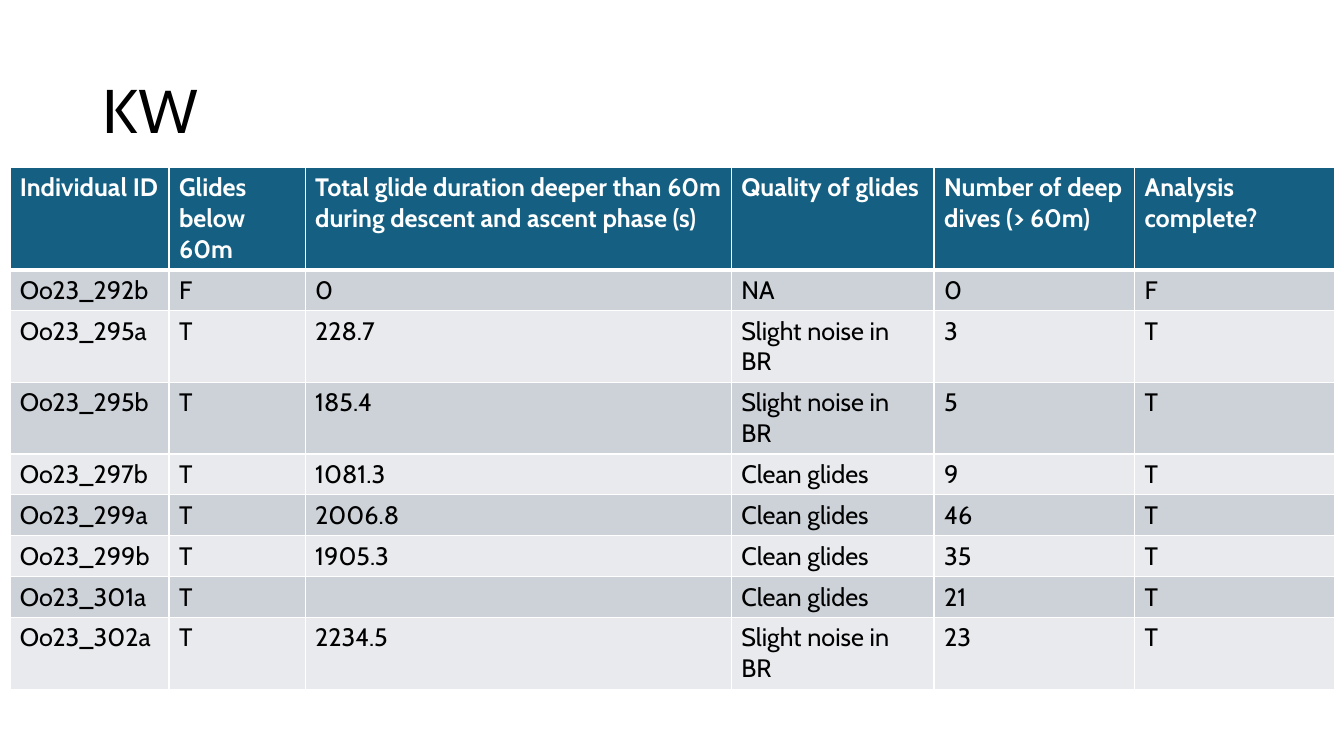
from dataclasses import astuple, dataclass

from lxml.etree import SubElement
from pptx import Presentation
from pptx.dml.color import RGBColor
from pptx.enum.text import MSO_ANCHOR, MSO_AUTO_SIZE, PP_ALIGN
from pptx.oxml.ns import qn
from pptx.slide import Slide
from pptx.table import _Cell as Cell
from pptx.text.text import _Paragraph as Paragraph
from pptx.util import Cm, Pt

WHITE = RGBColor(0xFF, 0xFF, 0xFF)
BLACK = RGBColor(0x00, 0x00, 0x00)
HEADER_BLUE = RGBColor(0x15, 0x60, 0x82)
DARK_BAND = RGBColor(0xCC, 0xD2, 0xD8)
LIGHT_BAND = RGBColor(0xE8, 0xEA, 0xED)

TITLE_FORMAT = {"name": "Cabin", "size": Pt(44), "bold": False}
HEADER_FORMAT = {"name": "Cabin", "size": Pt(18), "bold": True}
BODY_FORMAT = {"name": "Cabin", "size": Pt(18), "bold": False}

ROW_HEIGHT = Cm(1.03)
THIN_BORDER, HEADER_BORDER = Pt(1), Pt(3)


@dataclass
class Column:
    heading: str
    width: float


@dataclass
class Individual:
    name: str
    glides_below_60m: str
    duration: str
    quality: str
    deep_dives: str
    complete: str


COLUMNS = [
    Column("Individual ID", 4.01),
    Column("Glides below 60m", 3.43),
    Column("Total glide duration deeper than 60m during descent and ascent phase (s)", 10.74),
    Column("Quality of glides", 5.11),
    Column("Number of deep dives (> 60m)", 5.05),
    Column("Analysis complete?", 5.05),
]

NOISY = "Slight noise in BR"
CLEAN = "Clean glides"
INDIVIDUALS = [
    Individual("Oo23_292b", "F", "0", "NA", "0", "F"),
    Individual("Oo23_295a", "T", "228.7", NOISY, "3", "T"),
    Individual("Oo23_295b", "T", "185.4", NOISY, "5", "T"),
    Individual("Oo23_297b", "T", "1081.3", CLEAN, "9", "T"),
    Individual("Oo23_299a", "T", "2006.8", CLEAN, "46", "T"),
    Individual("Oo23_299b", "T", "1905.3", CLEAN, "35", "T"),
    Individual("Oo23_301a", "T", "", CLEAN, "21", "T"),
    Individual("Oo23_302a", "T", "2234.5", NOISY, "23", "T"),
]


def format_font(paragraph: Paragraph, values: dict, color: RGBColor) -> None:
    for font in [paragraph.font, *(run.font for run in paragraph.runs)]:
        for attribute, value in values.items():
            setattr(font, attribute, value)
        font.color.rgb = color


def add_borders(cell: Cell, top: int, bottom: int) -> None:
    """Draw white lines around the cell; the schema wants them before the fill."""
    properties = cell._tc.get_or_add_tcPr()
    widths = {"a:lnL": THIN_BORDER, "a:lnR": THIN_BORDER, "a:lnT": top, "a:lnB": bottom}
    for index, (tag, width) in enumerate(widths.items()):
        line = SubElement(properties, qn(tag), w=str(width))
        SubElement(SubElement(line, qn("a:solidFill")), qn("a:srgbClr"), val=str(WHITE))
        properties.insert(index, line)


def add_title(slide: Slide, text: str) -> None:
    title = slide.shapes.title
    place = {"left": Cm(2.34), "top": Cm(1.02), "width": Cm(29.21), "height": Cm(3.68)}
    for attribute, value in place.items():
        setattr(title, attribute, value)
    frame = title.text_frame
    frame.text = text
    frame.auto_size = MSO_AUTO_SIZE.NONE
    frame.vertical_anchor = MSO_ANCHOR.MIDDLE
    paragraph = frame.paragraphs[0]
    paragraph.alignment = PP_ALIGN.LEFT
    paragraph.line_spacing = 0.9
    format_font(paragraph, TITLE_FORMAT, BLACK)


def add_glide_table(slide: Slide) -> None:
    rows = [[column.heading for column in COLUMNS], *map(astuple, INDIVIDUALS)]
    width = Cm(sum(column.width for column in COLUMNS))
    table = slide.shapes.add_table(
        len(rows), len(COLUMNS), Cm(0.25), Cm(4.22), width, ROW_HEIGHT * len(rows)
    ).table
    for table_column, column in zip(table.columns, COLUMNS):
        table_column.width = Cm(column.width)

    for row_index, texts in enumerate(rows):
        table.rows[row_index].height = ROW_HEIGHT
        is_header = row_index == 0
        band = DARK_BAND if row_index % 2 else LIGHT_BAND
        for column_index, text in enumerate(texts):
            cell = table.cell(row_index, column_index)
            cell.text = text
            cell.fill.solid()
            cell.fill.fore_color.rgb = HEADER_BLUE if is_header else band
            format_font(
                cell.text_frame.paragraphs[0],
                HEADER_FORMAT if is_header else BODY_FORMAT,
                WHITE if is_header else BLACK,
            )
            add_borders(
                cell,
                top=HEADER_BORDER if row_index == 1 else THIN_BORDER,
                bottom=HEADER_BORDER if is_header else THIN_BORDER,
            )


def main() -> None:
    presentation = Presentation()
    presentation.slide_width, presentation.slide_height = Cm(33.87), Cm(19.05)
    slide = presentation.slides.add_slide(presentation.slide_layouts[5])
    add_title(slide, "KW")
    add_glide_table(slide)
    presentation.save("out.pptx")


if __name__ == "__main__":
    main()
